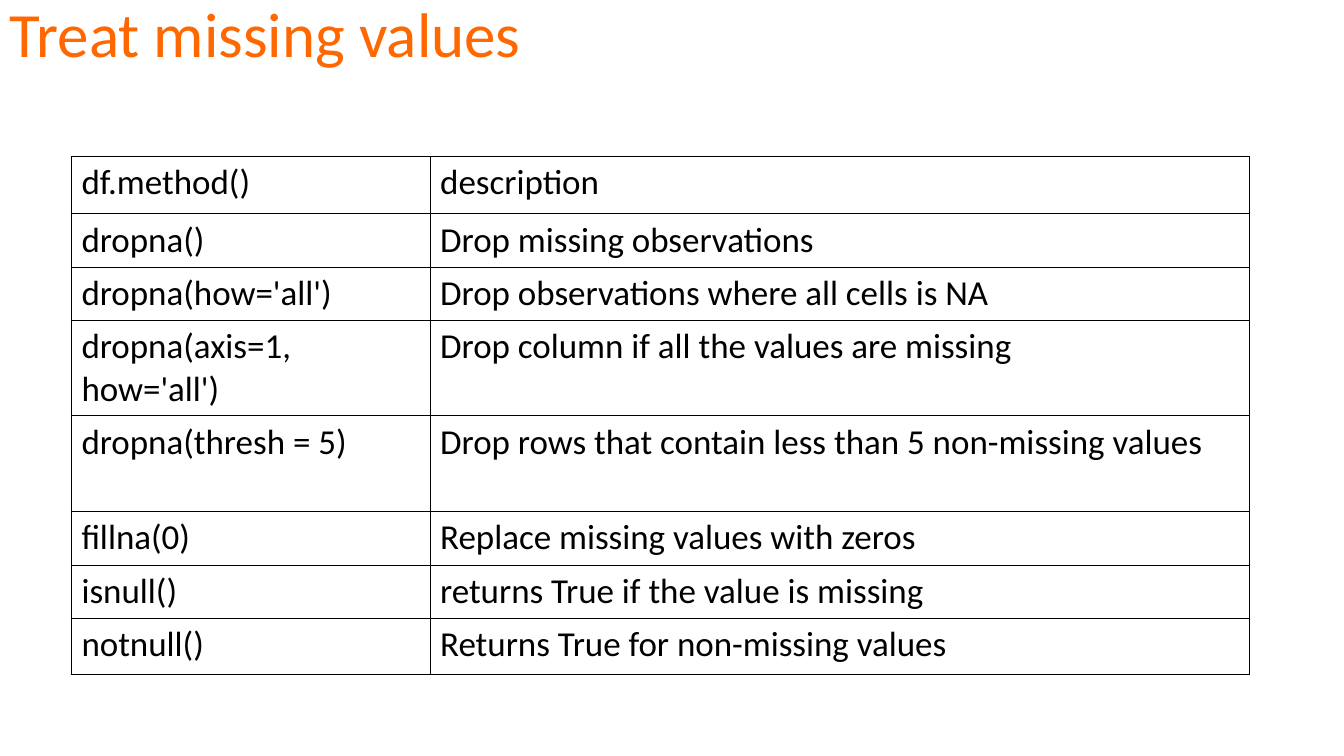
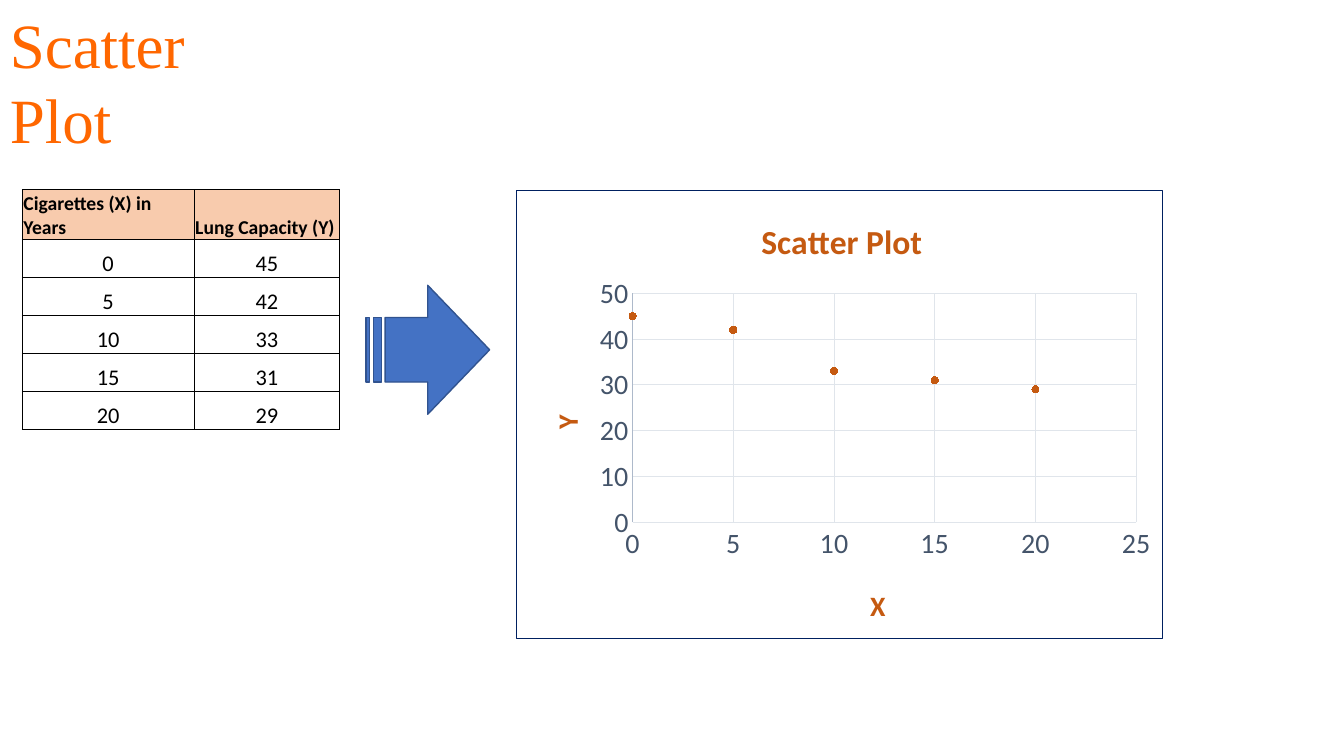
from lxml.etree import SubElement
from pptx import Presentation
from pptx.chart.data import XyChartData
from pptx.dml.color import RGBColor
from pptx.enum.chart import XL_CHART_TYPE as ChartType
from pptx.enum.chart import XL_MARKER_STYLE as Marker
from pptx.enum.chart import XL_TICK_MARK as Tick
from pptx.enum.shapes import MSO_SHAPE as Preset
from pptx.enum.text import MSO_ANCHOR as Anchor
from pptx.enum.text import PP_ALIGN as Align
from pptx.oxml import parse_xml
from pptx.oxml.ns import nsdecls, qn
from pptx.util import Cm, Pt

# Palette and fonts
ORANGE = RGBColor(0xFF, 0x67, 0x00)
RUST = RGBColor(0xC5, 0x5A, 0x11)
PEACH = RGBColor(0xF8, 0xCB, 0xAD)
BLACK = RGBColor(0x00, 0x00, 0x00)
NAVY = RGBColor(0x00, 0x20, 0x60)
SLATE = RGBColor(0x44, 0x54, 0x6A)
AXIS_GREY = RGBColor(0xAD, 0xB9, 0xCA)
GRID_GREY = RGBColor(0xE0, 0xE5, 0xEB)
BLUE = RGBColor(0x44, 0x72, 0xC4)
DARK_BLUE = RGBColor(0x31, 0x53, 0x8F)
SANS = "Calibri"
SERIF = "Times New Roman"
THIN = Pt(0.75)


def style_font(font, size, color=BLACK, name=SANS, bold=False):
    font.size, font.name, font.bold = Pt(size), name, bold
    font.color.rgb = color


def write_text(frame, text, align=Align.LEFT, spacing=1.0, **font_format):
    """Fill the first paragraph of a text frame."""
    paragraph = frame.paragraphs[0]
    paragraph.alignment = align
    paragraph.line_spacing = spacing
    run = paragraph.add_run()
    run.text = text
    style_font(run.font, **font_format)


def style_line(line, color, width=THIN):
    line.color.rgb = color
    line.width = width


def set_borders(cell, color=BLACK, width=THIN):
    properties = cell._tc.get_or_add_tcPr()
    for index, side in enumerate(("lnL", "lnR", "lnT", "lnB")):
        properties.insert(index, parse_xml(
            f'<a:{side} {nsdecls("a")} w="{width}"><a:solidFill>'
            f'<a:srgbClr val="{color}"/></a:solidFill></a:{side}>'))


def place(element, index, **fractions):
    """Give a chart part a manual layout in fractions of the chart."""
    for old in element.findall(qn("c:layout")):
        element.remove(old)
    layout = parse_xml(f'<c:layout {nsdecls("c")}><c:manualLayout/></c:layout>')
    manual = layout[0]
    if "w" in fractions:
        SubElement(manual, qn("c:layoutTarget")).set("val", "inner")
    for key in ("x", "y"):
        SubElement(manual, qn(f"c:{key}Mode")).set("val", "edge")
    for key, value in fractions.items():
        SubElement(manual, qn(f"c:{key}")).set("val", str(value))
    element.insert(index, layout)


class Deck:
    """Holds the shared style and the current slide."""

    def __init__(self):
        self.presentation = Presentation()
        self.presentation.slide_width = Cm(33.87)
        self.presentation.slide_height = Cm(19.05)
        self.slide = None

    def new_slide(self):
        layout = self.presentation.slide_layouts[6]
        self.slide = self.presentation.slides.add_slide(layout)

    def title(self, text, width, height, font=SANS, spacing=1.0, top_inset=0.13):
        box = self.slide.shapes.add_textbox(0, 0, Cm(width), Cm(height))
        frame = box.text_frame
        frame.word_wrap = True
        frame.margin_top = Cm(top_inset)
        write_text(frame, text, spacing=spacing, size=45, color=ORANGE, name=font)

    def table(self, rows, left, top, widths, heights, format_cell):
        """Draw a ruled table; format_cell returns fill and text format by row."""
        graphic = self.slide.shapes.add_table(
            len(rows), len(widths), Cm(left), Cm(top),
            Cm(sum(widths)), Cm(sum(heights)))
        table = graphic.table
        table.first_row = table.horz_banding = False
        for column, width in zip(table.columns, widths):
            column.width = Cm(width)
        for row_index, (values, height) in enumerate(zip(rows, heights)):
            table.rows[row_index].height = Cm(height)
            for column_index, value in enumerate(values):
                cell = table.cell(row_index, column_index)
                fill, text_format = format_cell(cell, row_index)
                if fill is None:
                    cell.fill.background()
                else:
                    cell.fill.solid()
                    cell.fill.fore_color.rgb = fill
                set_borders(cell)
                write_text(cell.text_frame, str(value), **text_format)

    def arrow(self, left, top, width, height):
        shape = self.slide.shapes.add_shape(
            Preset.STRIPED_RIGHT_ARROW, Cm(left), Cm(top), Cm(width), Cm(height))
        shape.shadow.inherit = False
        shape.fill.solid()
        shape.fill.fore_color.rgb = BLUE
        style_line(shape.line, DARK_BLUE, Pt(1))

    def axis(self, axis, title, maximum, step, line_color):
        axis.minimum_scale, axis.maximum_scale = 0, maximum
        axis.major_unit = step
        axis.major_tick_mark = axis.minor_tick_mark = Tick.NONE
        axis.has_major_gridlines = True
        style_line(axis.major_gridlines.format.line, GRID_GREY)
        style_line(axis.format.line, line_color)
        style_font(axis.tick_labels.font, 20, SLATE)
        write_text(axis.axis_title.text_frame, title, align=None, spacing=None,
                   size=20, color=RUST, bold=True)

    def scatter(self, title, points, left, top, width, height):
        data = XyChartData()
        series_data = data.add_series("Series 1")
        for x, y in points:
            series_data.add_data_point(x, y)
        chart = self.slide.shapes.add_chart(
            ChartType.XY_SCATTER, Cm(left), Cm(top), Cm(width), Cm(height),
            data).chart
        style_font(chart.font, 20)
        chart.has_legend = False

        # Titles and axes
        chart.has_title = True
        write_text(chart.chart_title.text_frame, title, align=None, spacing=None,
                   size=24, color=RUST, bold=True)
        self.axis(chart.category_axis, "X", 25, 5, GRID_GREY)
        self.axis(chart.value_axis, "Y", 50, 10, AXIS_GREY)
        y_title = chart.value_axis.axis_title.element
        next(y_title.iter(qn("a:bodyPr"))).set("rot", "-5400000")

        # Markers without a joining line
        plot = chart.plots[0]
        plot.vary_by_categories = False
        series = plot.series[0]
        series.format.line.fill.background()
        series.marker.style, series.marker.size = Marker.CIRCLE, 5
        series.marker.format.fill.solid()
        series.marker.format.fill.fore_color.rgb = RUST
        style_line(series.marker.format.line, RUST)

        # Layout and frame
        place(next(chart.element.iter(qn("c:plotArea"))), 0,
              x=0.18, y=0.23, w=0.78, h=0.51)
        place(chart.chart_title.element, 1, x=0.37, y=0.05)
        place(chart.category_axis.axis_title.element, 1, x=0.54, y=0.87)
        place(y_title, 1, x=0.04, y=0.49)
        chart.element.find(qn("c:chart")).addnext(parse_xml(
            f'<c:spPr {nsdecls("c", "a")}><a:noFill/><a:ln w="{THIN}">'
            f'<a:solidFill><a:srgbClr val="{NAVY}"/></a:solidFill></a:ln></c:spPr>'))


METHODS = [
    ("df.method()", "description"),
    ("dropna()", "Drop missing observations"),
    ("dropna(how='all')", "Drop observations where all cells is NA"),
    ("dropna(axis=1, how='all')", "Drop column if all the values are missing"),
    ("dropna(thresh = 5)", "Drop rows that contain less than 5 non-missing values"),
    ("fillna(0)", "Replace missing values with zeros"),
    ("isnull()", "returns True if the value is missing"),
    ("notnull()", "Returns True for non-missing values"),
]
HEADINGS = ("Cigarettes (X) in Years", "Lung Capacity (Y)")
POINTS = [(0, 45), (5, 42), (10, 33), (15, 31), (20, 29)]


def format_method(cell, row_index):
    return None, {"size": 25}


def format_measure(cell, row_index):
    cell.margin_left = cell.margin_right = cell.margin_top = Cm(0.03)
    cell.margin_bottom = 0
    cell.vertical_anchor = Anchor.BOTTOM
    if row_index == 0:
        return PEACH, {"size": 14, "bold": True}
    return None, {"size": 16, "align": Align.CENTER}


def main():
    deck = Deck()

    # Methods for missing values
    deck.new_slide()
    deck.title("Treat missing values", 29.2, 1.9, spacing=0.9, top_inset=0.08)
    deck.table(METHODS, 1.8, 3.94, [9.04, 20.66],
               [1.45, 1.34, 1.34, 2.41, 2.41, 1.36, 1.34, 1.4], format_method)

    # Scatter plot from a small table
    deck.new_slide()
    deck.title("Scatter Plot", 7.7, 3.9, font=SERIF)
    deck.table([HEADINGS] + POINTS, 0.56, 4.78, [4.33, 3.67],
               [1.25] + [0.96] * len(POINTS), format_measure)
    deck.arrow(9.22, 7.19, 3.12, 3.25)
    deck.scatter("Scatter Plot", POINTS, 13, 4.78, 16.3, 11.33)

    deck.presentation.save("out.pptx")


if __name__ == "__main__":
    main()
